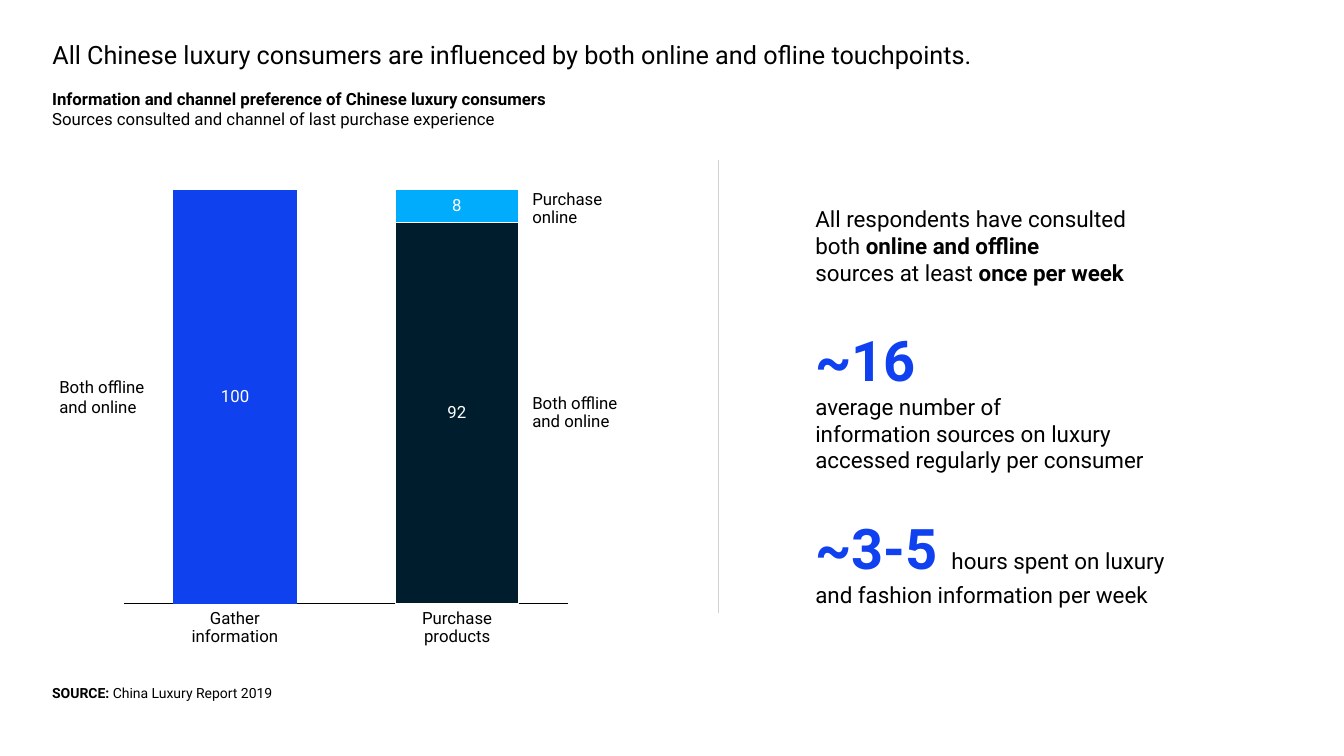
import pptx
import pptx.chart.data
import pptx.dml.color
import pptx.enum.chart
import pptx.enum.shapes
import pptx.enum.text
import pptx.oxml
import pptx.util

Pt = pptx.util.Pt
RGBColor = pptx.dml.color.RGBColor
PP_ALIGN = pptx.enum.text.PP_ALIGN
MSO_ANCHOR = pptx.enum.text.MSO_ANCHOR
MSO_AUTO_SIZE = pptx.enum.text.MSO_AUTO_SIZE

BLACK = RGBColor(0x00, 0x00, 0x00)
WHITE = RGBColor(0xFF, 0xFF, 0xFF)
GREY = RGBColor(0xD1, 0xD1, 0xD1)
NAVY = RGBColor(0x00, 0x1D, 0x2D)
SKY = RGBColor(0x00, 0xAC, 0xFB)
BLUE = RGBColor(0x10, 0x41, 0xEF)
ACCENT = RGBColor(0x10, 0x41, 0xF0)
FONT = "Roboto"
BOLD = {"bold": True}
BIG = {"bold": True, "size": Pt(40), "color": ACCENT}


def format_font(font, values):
    for name, value in values.items():
        if name == "color":
            font.color.rgb = value
        else:
            setattr(font, name, value)


def write_text(shape, paragraphs, size, frame_format, paragraph_format):
    frame = shape.text_frame
    for name, value in frame_format.items():
        setattr(frame, name, value)
    for index, runs in enumerate(paragraphs):
        paragraph = frame.add_paragraph() if index else frame.paragraphs[0]
        for name, value in paragraph_format.items():
            setattr(paragraph, name, value)
        for text, changes in runs:
            for line_number, line in enumerate(text.split("\n")):
                if line_number:
                    paragraph.add_line_break()
                run = paragraph.add_run()
                run.text = line
                base = {"name": FONT, "size": Pt(size), "bold": False, "color": BLACK}
                format_font(run.font, {**base, **changes})


presentation = pptx.Presentation()
presentation.slide_width = Pt(960)
presentation.slide_height = Pt(540)
slide = presentation.slides.add_slide(presentation.slide_layouts[5])

title = slide.shapes.title
title.left, title.top, title.width, title.height = Pt(30.2), Pt(24.5), Pt(873.4), Pt(28.8)
write_text(
    title,
    [[("All Chinese luxury consumers are influenced by both online and ofline touchpoints.", {})]],
    18,
    {"word_wrap": True, "auto_size": MSO_AUTO_SIZE.NONE, "vertical_anchor": MSO_ANCHOR.TOP},
    {"alignment": PP_ALIGN.LEFT},
)

chart_data = pptx.chart.data.CategoryChartData()
chart_data.categories = ["1", "2"]
chart_data.add_series("Series 1", [100, 92])
chart_data.add_series("Series 2", [0, 8])
chart = slide.shapes.add_chart(
    pptx.enum.chart.XL_CHART_TYPE.COLUMN_STACKED,
    Pt(82.1), Pt(114.5), Pt(329.8), Pt(337.7), chart_data,
).chart
chart.has_legend = False
chart.has_title = False
format_font(chart.font, {"name": FONT, "size": Pt(12), "color": BLACK})

value_axis = chart.value_axis
value_axis.minimum_scale = 0
value_axis.maximum_scale = 100
value_axis.has_major_gridlines = False
value_axis.visible = False
category_axis = chart.category_axis
category_axis.tick_label_position = pptx.enum.chart.XL_TICK_LABEL_POSITION.NONE
category_axis.major_tick_mark = pptx.enum.chart.XL_TICK_MARK.NONE
category_axis.format.line.color.rgb = BLACK
category_axis.format.line.width = Pt(0.75)

plot = chart.plots[0]
plot.gap_width = 80
plot.overlap = 100
plot.vary_by_categories = False
for series, color, labelled in zip(plot.series, (NAVY, SKY), ((0, 1), (1,))):
    series.format.fill.solid()
    series.format.fill.fore_color.rgb = color
    series.format.line.color.rgb = WHITE
    series.format.line.width = Pt(0.25)
    gather_bar = series.points[0].format
    gather_bar.fill.solid()
    gather_bar.fill.fore_color.rgb = BLUE
    gather_bar.line.fill.background()
    series.data_labels.show_value = False
    for index in labelled:
        label = series.points[index].data_label
        format_font(label.font, {"name": FONT, "size": Pt(12), "color": WHITE})
        label.position = pptx.enum.chart.XL_LABEL_POSITION.CENTER

plot_area = chart._chartSpace.chart.plotArea
for old_layout in plot_area.findall(pptx.oxml.ns.qn("c:layout")):
    plot_area.remove(old_layout)
plot_area.insert(0, pptx.oxml.parse_xml(
    '<c:layout xmlns:c="http://schemas.openxmlformats.org/drawingml/2006/chart">'
    '<c:manualLayout><c:layoutTarget val="inner"/>'
    '<c:xMode val="edge"/><c:yMode val="edge"/>'
    '<c:x val="0.02"/><c:y val="0.062"/><c:w val="0.961"/><c:h val="0.876"/>'
    '</c:manualLayout></c:layout>'
))

divider = slide.shapes.add_connector(
    pptx.enum.shapes.MSO_CONNECTOR.STRAIGHT, Pt(513.4), Pt(114.5), Pt(513.4), Pt(437.8))
divider.line.color.rgb = GREY
divider.line.width = Pt(1)
divider._element.spPr.append(pptx.oxml.parse_xml(
    '<a:effectLst xmlns:a="http://schemas.openxmlformats.org/drawingml/2006/main"/>'))

chart_notes = [
    (135.4, 435.6, 64.8, "Gather\ninformation", PP_ALIGN.CENTER, MSO_ANCHOR.TOP),
    (301, 435.6, 51.1, "Purchase\nproducts", PP_ALIGN.CENTER, MSO_ANCHOR.TOP),
    (380.2, 282.2, 64.1, "Both offline\nand online", PP_ALIGN.LEFT, MSO_ANCHOR.MIDDLE),
    (380.2, 136.1, 50.4, "Purchase\nonline", PP_ALIGN.LEFT, MSO_ANCHOR.MIDDLE),
]
for left, top, width, text, alignment, anchor in chart_notes:
    box = slide.shapes.add_textbox(Pt(left), Pt(top), Pt(width), Pt(25.9))
    margins = dict.fromkeys(("margin_left", "margin_top", "margin_right", "margin_bottom"), 0)
    write_text(box, [[(text, {})]], 12,
               {**margins, "word_wrap": False, "vertical_anchor": anchor},
               {"alignment": alignment, "line_spacing": 0.9})

text_blocks = [
    (30.2, 59.8, 391, 36, 12, [
        [("Information and channel preference of Chinese luxury consumers", BOLD)],
        [("Sources consulted and channel of last purchase experience", {})],
    ]),
    (35.3, 265.7, 79.2, 36, 12, [[("Both offline", {})], [("and online", {})]]),
    (575.3, 143.3, 246.2, 65.5, 16, [
        [("All respondents have consulted", {})],
        [("both ", {}), ("online and offline", BOLD)],
        [("sources at least ", {}), ("once per week", BOLD)],
    ]),
    (575.3, 229, 257, 113.8, 16, [
        [("~16", BIG)],
        [("average number of", {})],
        [("information sources on luxury", {})],
        [("accessed regularly per consumer", {})],
    ]),
    (575.3, 363.6, 280.1, 74.9, 16, [
        [("~3-5 ", BIG), ("hours spent on luxury", {})],
        [("and fashion information per week", {})],
    ]),
    (30.2, 485.3, 175.7, 19.4, 10, [
        [("SOURCE: ", BOLD), ("China Luxury Report 2019", {})],
    ]),
]
for left, top, width, height, size, paragraphs in text_blocks:
    box = slide.shapes.add_textbox(Pt(left), Pt(top), Pt(width), Pt(height))
    write_text(box, paragraphs, size,
               {"word_wrap": False, "auto_size": MSO_AUTO_SIZE.SHAPE_TO_FIT_TEXT},
               {"alignment": PP_ALIGN.LEFT})

presentation.save("out.pptx")
